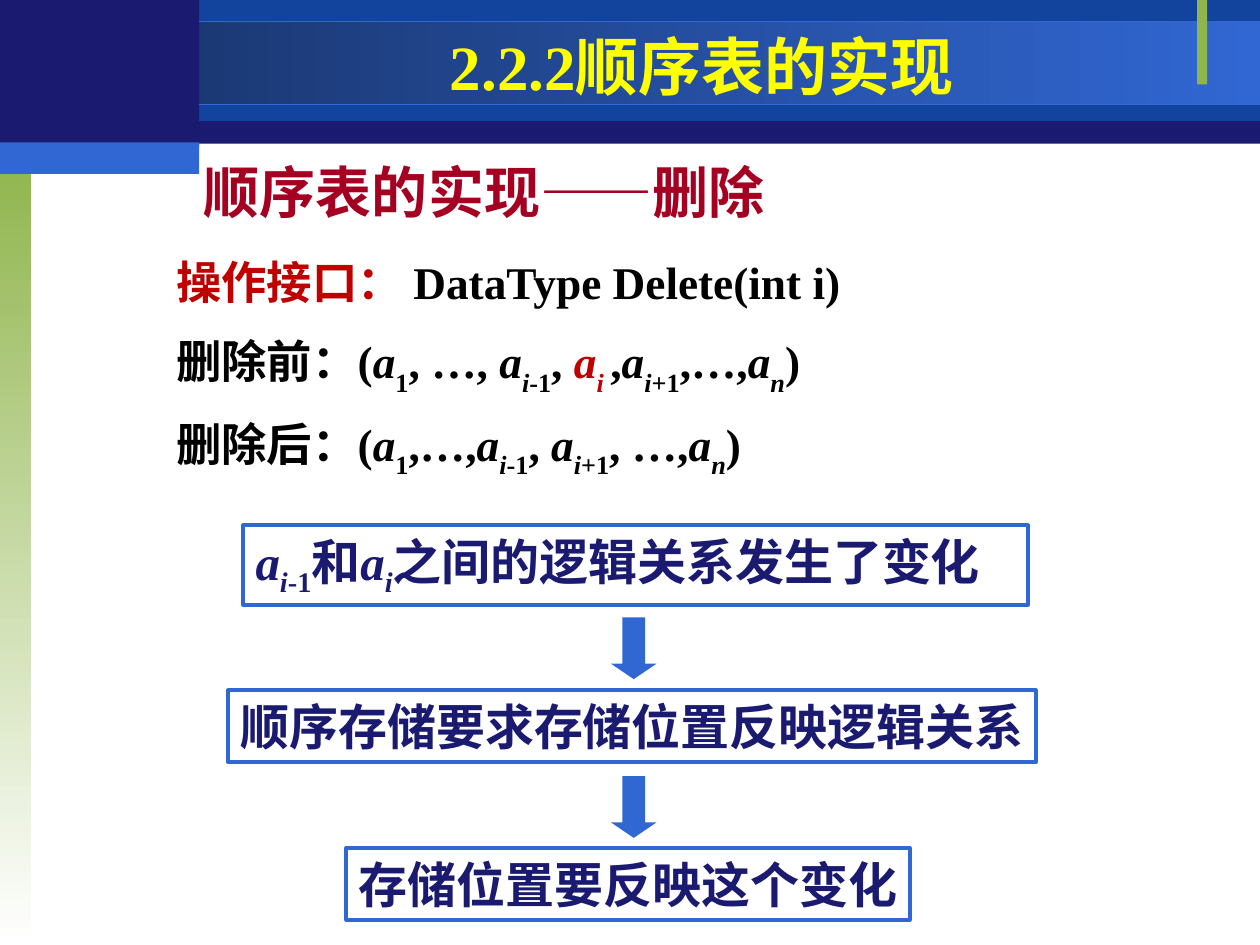
from dataclasses import dataclass

from lxml import etree
from pptx import Presentation
from pptx.dml.color import RGBColor
from pptx.enum import shapes, text
from pptx.oxml.ns import qn
from pptx.util import Inches, Pt

NAVY, BLUE, GREEN = "1A1A70", "3167D3", "90B54D"
BLACK, RED = "000000", "C00000"
SERIF, CJK = "Times New Roman", "Noto Sans CJK SC"


@dataclass
class Run:
    text: str
    italic: bool = False
    sub: bool = False
    color: str | None = None


@dataclass
class Band:
    at: tuple[float, float, float, float]
    fill: str
    fade_to: str | None = None
    angle: int = 0
    line: str | None = None


@dataclass
class Step:
    at: tuple[float, float, float, float]
    runs: list[Run]
    font: str = SERIF


def rgb(color: str) -> RGBColor:
    return RGBColor.from_string(color)


def term(index: str, offset: str = "", color: str | None = None) -> list[Run]:
    """Runs for an element a with a subscript: letters italic, offset upright."""
    runs = [Run("a", True, color=color), Run(index, not index.isdigit(), True, color)]
    return runs + ([Run(offset, sub=True, color=color)] if offset else [])


def add_runs(p, runs: list[Run], size: float, color: str,
             font: str = SERIF, base: int = -30) -> None:
    for run in runs:
        r = p.add_run()
        r.text = run.text
        f = r.font
        f.size, f.bold, f.italic, f.name = Pt(size), True, run.italic, font
        f.color.rgb = rgb(run.color or color)
        rPr = r._r.get_or_add_rPr()
        if run.sub:
            rPr.set("baseline", str(base * 1000))
        etree.SubElement(rPr, qn("a:ea")).set("typeface", CJK)


def add_block(s, kind, at: tuple, fill: str | None = None,
              line: str | None = None, width: float = 2.25):
    sp = s.shapes.add_shape(kind, *map(Inches, at))
    sp.shadow.inherit = False
    if fill:
        sp.fill.solid()
        sp.fill.fore_color.rgb = rgb(fill)
    else:
        sp.fill.background()
    if line:
        sp.line.color.rgb = rgb(line)
        sp.line.width = Pt(width)
    else:
        sp.line.fill.background()
    return sp


def add_band(s, band: Band) -> None:
    sp = add_block(s, shapes.MSO_SHAPE.RECTANGLE, band.at, band.fill, band.line, 0.75)
    if band.fade_to:
        sp.fill.gradient()
        sp.fill.gradient_angle = band.angle
        for stop, color in zip(sp.fill.gradient_stops, (band.fill, band.fade_to)):
            stop.color.rgb = rgb(color)


def add_step(s, step: Step) -> None:
    sp = add_block(s, shapes.MSO_SHAPE.RECTANGLE, step.at, line=BLUE)
    tf = sp.text_frame
    tf.word_wrap = False
    tf.vertical_anchor = text.MSO_ANCHOR.TOP
    p = tf.paragraphs[0]
    p.alignment = text.PP_ALIGN.LEFT
    add_runs(p, step.runs, 28, NAVY, step.font, base=-25)


def add_arrow(s, top: float) -> None:
    sp = add_block(s, shapes.MSO_SHAPE.DOWN_ARROW, (4.85, top, 0.36, 0.49), BLUE)
    sp.adjustments[0], sp.adjustments[1] = 0.5, 0.34


def add_text(s, at: tuple):
    tf = s.shapes.add_textbox(*map(Inches, at)).text_frame
    tf.word_wrap = True
    return tf


BANDS = [
    Band((0, 0.01, 10, 1.13), NAVY),
    Band((1.58, 0, 8.42, 0.96), "12449E"),
    Band((0, 0.17, 10, 0.66), "173062", fade_to=BLUE, line=BLUE),
    Band((0, 1.25, 0.25, 6.25), GREEN, fade_to="FFFFFF", angle=270),
    Band((9.5, 0, 0.08, 0.67), GREEN),
    Band((0, 0, 1.58, 1.17), NAVY),
    Band((0, 1.13, 1.58, 0.25), BLUE),
]
LINES = [
    [Run("操作接口： ", color=RED), Run("DataType Delete(int i)")],
    [Run("删除前："), Run("("), *term("1"), Run(", …, "), *term("i", "-1"), Run(", "),
     *term("i ", color=RED), Run(","), *term("i", "+1"), Run(",…,"), *term("n"), Run(")")],
    [Run("删除后："), Run("("), *term("1"), Run(",…,"), *term("i", "-1"), Run(", "),
     *term("i", "+1"), Run(", …,"), *term("n"), Run(")")],
]
STEPS = [
    Step((1.93, 4.17, 6.23, 0.63),
         [*term("i", "-1"), Run("和"), *term("i"), Run("之间的逻辑关系发生了变化")]),
    Step((1.81, 5.48, 6.41, 0.57), [Run("顺序存储要求存储位置反映逻辑关系")]),
    Step((2.75, 6.73, 4.47, 0.57), [Run("存储位置要反映这个变化")], "Arial"),
]


def main() -> None:
    prs = Presentation()
    prs.slide_width, prs.slide_height = Inches(10), Inches(7.5)
    s = prs.slides.add_slide(prs.slide_layouts[5])

    for band in BANDS:
        add_band(s, band)

    title = s.shapes.title
    title.left, title.top, title.width, title.height = map(Inches, (1.58, 0.23, 7.98, 0.58))
    s.shapes._spTree.append(title._element)  # in front of the bands
    tf = title.text_frame
    tf.vertical_anchor = text.MSO_ANCHOR.MIDDLE
    tf.paragraphs[0].alignment = text.PP_ALIGN.CENTER
    add_runs(tf.paragraphs[0], [Run("2.2.2顺序表的实现")], 36, "FFFF00")

    tf = add_text(s, (1.52, 1.2, 6.48, 0.64))
    tf.vertical_anchor = text.MSO_ANCHOR.MIDDLE
    add_runs(tf.paragraphs[0], [Run("顺序表的实现——删除")], 32, "A50021")

    tf = add_text(s, (1.3, 2.02, 7.81, 1.96))
    tf.margin_top = 0
    for i, runs in enumerate(LINES):
        p = tf.add_paragraph() if i else tf.paragraphs[0]
        if i:
            p.line_spacing, p.space_before = 0.9, Pt(14)
        add_runs(p, runs, 25.9, BLACK)

    for step in STEPS:
        add_step(s, step)
    for top in (4.9, 6.16):
        add_arrow(s, top)

    prs.save("out.pptx")


if __name__ == "__main__":
    main()
